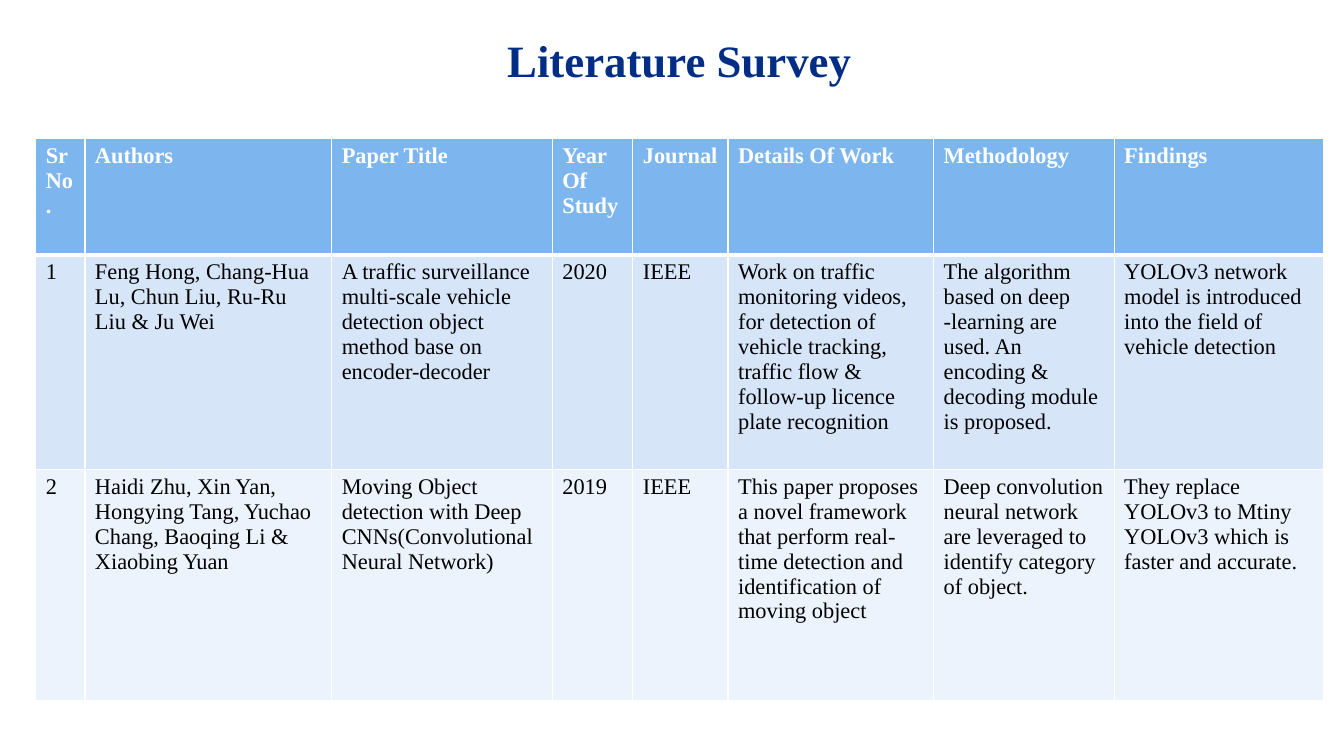
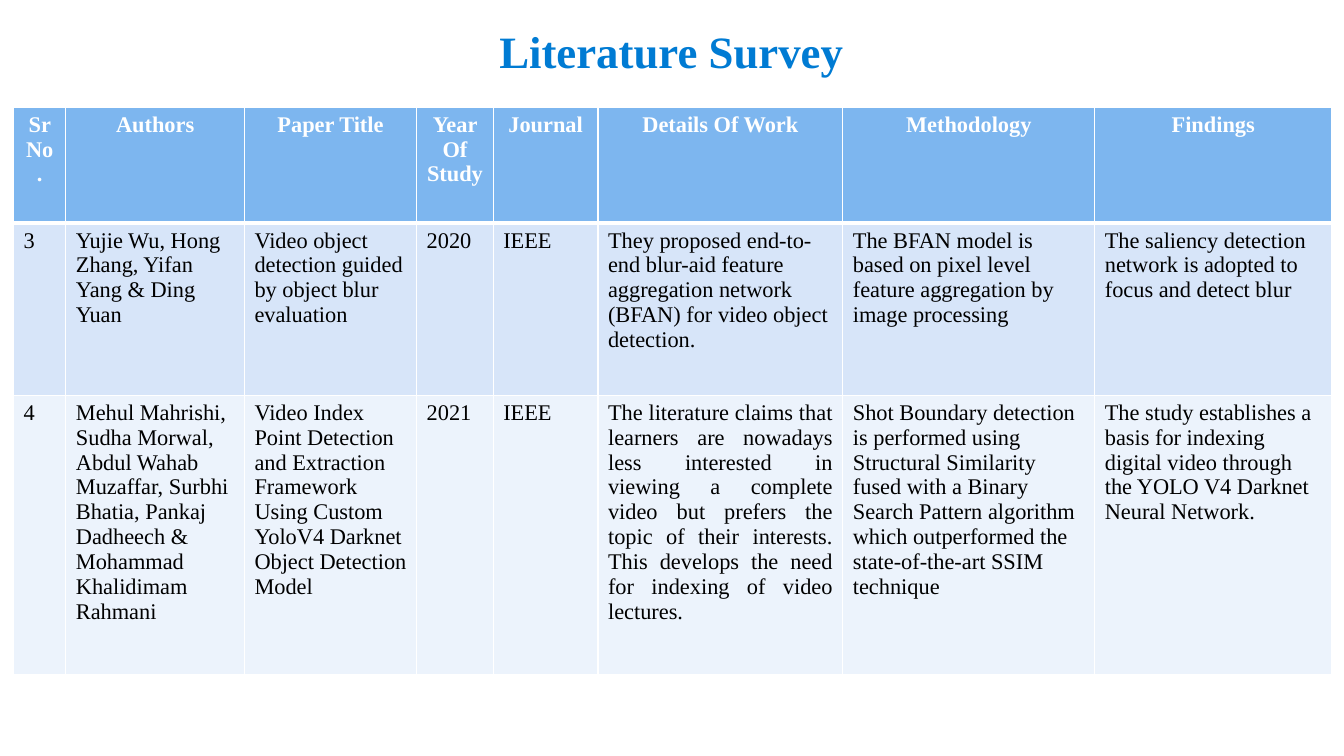
from lxml import etree
from pptx import Presentation
from pptx import util as u
from pptx.dml.color import RGBColor
from pptx.enum import text
from pptx.oxml import ns

FONT = "Times New Roman"
WHITE, BLACK = "FFFFFF", "000000"
ROW_FILLS = ["7DB6EF", "D7E5F9", "ECF3FC"]
HEADERS = ["Sr No.", "Authors", "Paper Title", "Year Of Study", "Journal",
           "Details Of Work", "Methodology", "Findings"]
DETAILS = HEADERS.index("Details Of Work")
LEFT, CENTER, JUSTIFY = (text.PP_ALIGN.LEFT, text.PP_ALIGN.CENTER,
                         text.PP_ALIGN.JUSTIFY)

PAPERS_1 = [
    ["1", "Feng Hong, Chang-Hua Lu, Chun Liu, Ru-Ru Liu & Ju Wei",
     "A traffic surveillance multi-scale vehicle detection object method "
     "base on encoder-decoder",
     "2020", "IEEE",
     "Work on traffic monitoring videos, for detection of vehicle tracking, "
     "traffic flow & follow-up licence plate recognition",
     "The algorithm based on deep -learning are used. An encoding & decoding "
     "module is proposed.",
     "YOLOv3 network model is introduced into the field of vehicle detection"],
    ["2", "Haidi Zhu, Xin Yan, Hongying Tang, Yuchao Chang, Baoqing Li & "
     "Xiaobing Yuan",
     "Moving Object detection with Deep CNNs(Convolutional Neural Network)",
     "2019", "IEEE",
     "This paper proposes a novel framework that perform real-time detection "
     "and identification of moving object",
     "Deep convolution neural network are leveraged to identify category of "
     "object.",
     "They replace YOLOv3 to Mtiny YOLOv3 which is faster and accurate."],
]
PAPERS_2 = [
    ["3", "Yujie Wu, Hong Zhang, Yifan Yang & Ding Yuan",
     "Video object detection guided by object blur evaluation",
     "2020", "IEEE",
     "They proposed end-to-end blur-aid feature aggregation network (BFAN) "
     "for video object detection.",
     "The BFAN model is based on pixel level feature aggregation by image "
     "processing",
     "The saliency detection network is adopted to focus and detect blur"],
    ["4", "Mehul Mahrishi, Sudha Morwal, Abdul Wahab Muzaffar, Surbhi Bhatia, "
     "Pankaj Dadheech & Mohammad Khalidimam Rahmani",
     "Video Index Point Detection and Extraction Framework Using Custom "
     "YoloV4 Darknet Object Detection Model",
     "2021", "IEEE",
     "The literature claims that learners are nowadays less interested in "
     "viewing a complete video but prefers the topic of their interests. "
     "This develops the need for indexing of video lectures.",
     "Shot Boundary detection is performed using Structural Similarity fused "
     "with a Binary Search Pattern algorithm which outperformed the "
     "state-of-the-art SSIM technique",
     "The study establishes a basis for indexing digital video through the "
     "YOLO V4 Darknet Neural Network."],
]


def rgb(color):
    """Return the colour for a hex string."""
    return RGBColor.from_string(color)


def write(tf, content, size, color, bold, align):
    """Fill a text frame with one formatted paragraph."""
    tf.text = content
    p = tf.paragraphs[0]
    p.alignment = align
    font = p.runs[0].font
    font.name, font.size, font.bold = FONT, u.Pt(size), bold
    font.color.rgb = rgb(color)


def add_title(s, left, top, color):
    """Place and format the slide title."""
    sp = s.shapes.title
    sp.left, sp.top = u.Cm(left), u.Cm(top)
    sp.width, sp.height = u.Cm(18.24), u.Cm(1.62)
    tf = sp.text_frame
    tf.auto_size = text.MSO_AUTO_SIZE.NONE
    tf.vertical_anchor = text.MSO_ANCHOR.TOP
    write(tf, "Literature Survey", 32, color, True, CENTER)


def set_borders(cell, top, bottom):
    """Draw white cell borders, with widths in points."""
    tcPr = cell._tc.get_or_add_tcPr()
    for tag, width in (("lnL", 1), ("lnR", 1), ("lnT", top), ("lnB", bottom)):
        ln = etree.SubElement(tcPr, ns.qn(f"a:{tag}"), w=str(u.Pt(width)))
        fill = etree.SubElement(ln, ns.qn("a:solidFill"))
        etree.SubElement(fill, ns.qn("a:srgbClr"), val=WHITE)


def add_survey(s, left, top, widths, heights, papers, head_align, justified):
    """Add the table of papers; justified holds rows with justified details."""
    rows = [HEADERS] + papers
    tbl = s.shapes.add_table(len(rows), len(HEADERS), u.Cm(left), u.Cm(top),
                             u.Cm(sum(widths)), u.Cm(sum(heights))).table
    tbl.horz_banding = False
    for col, width in zip(tbl.columns, widths):
        col.width = u.Cm(width)
    for i, (row, height) in enumerate(zip(rows, heights)):
        tbl.rows[i].height = u.Cm(height)
        head = i == 0
        for j, content in enumerate(row):
            cell = tbl.cell(i, j)
            set_borders(cell, 3 if i == 1 else 1, 3 if head else 1)
            cell.fill.solid()
            cell.fill.fore_color.rgb = rgb(ROW_FILLS[i])
            align = head_align if head else LEFT
            if i in justified and j == DETAILS:
                align = JUSTIFY
            write(cell.text_frame, content, 16, WHITE if head else BLACK,
                  head, align)


def main():
    """Build and save the presentation."""
    prs = Presentation()
    prs.slide_width, prs.slide_height = u.Cm(33.87), u.Cm(19.05)
    layout = prs.slide_layouts[5]

    s = prs.slides.add_slide(layout)
    add_survey(s, 0.9, 3.5, [1.24, 6.22, 5.56, 2.03, 2.4, 5.18, 4.55, 5.28],
               [2.92, 5.41, 5.82], PAPERS_1, LEFT, [])
    add_title(s, 8, 0.69, "012D86")

    s = prs.slides.add_slide(layout)
    add_survey(s, 0.34, 2.7, [1.32, 4.5, 4.34, 1.93, 2.64, 6.17, 6.35, 5.97],
               [2.92, 4.34, 7.04], PAPERS_2, CENTER, [2])
    add_title(s, 7.8, 0.48, "007BD3")

    prs.save("out.pptx")


if __name__ == "__main__":
    main()
